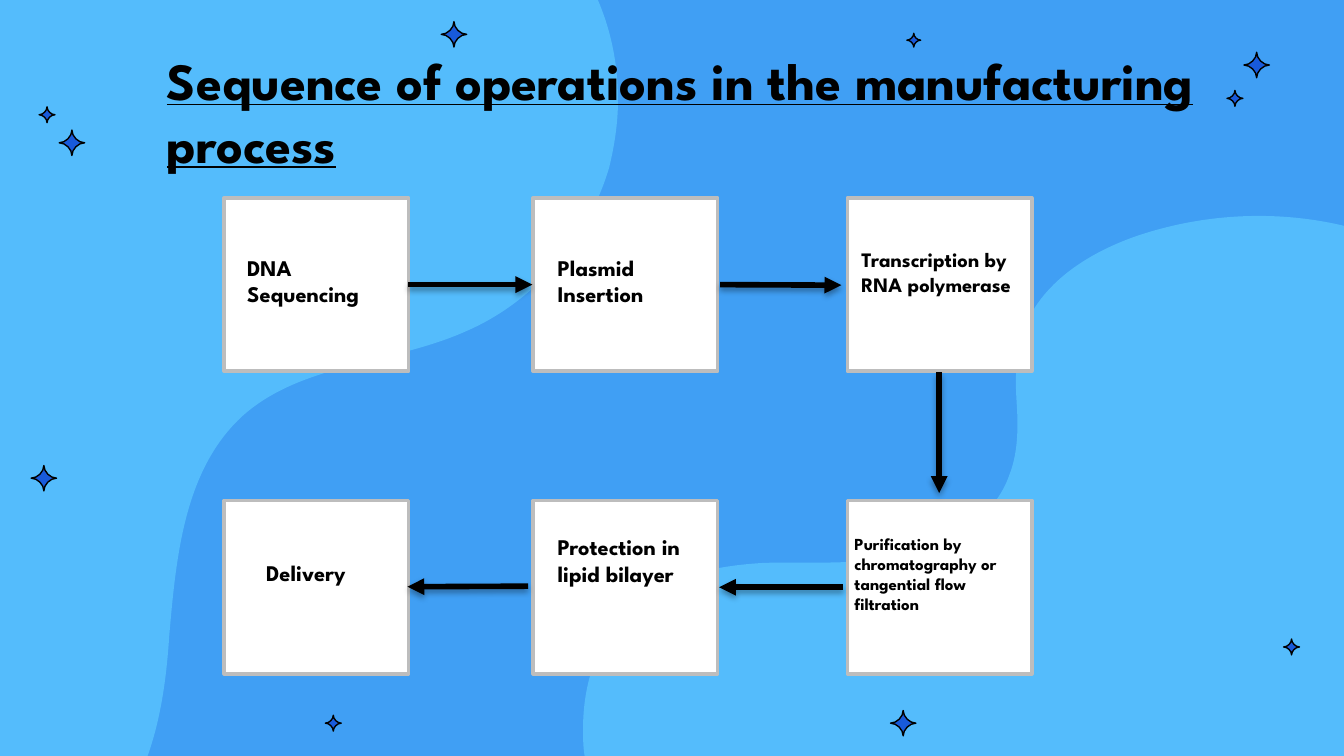
from lxml.etree import SubElement
from pptx import Presentation
from pptx.dml.color import RGBColor
from pptx.enum.shapes import MSO_CONNECTOR, MSO_SHAPE
from pptx.enum.text import MSO_ANCHOR, MSO_AUTO_SIZE, PP_ALIGN
from pptx.oxml import parse_xml
from pptx.oxml.ns import nsdecls, qn
from pptx.util import Cm, Pt

COLORS = {
    "background": "409FF4",
    "wave": "54BCFC",
    "star": "185ADB",
    "box": "FFFFFF",
    "border": "BDBDBD",
    "ink": "000000",
}
COLORS = {name: RGBColor.from_string(value) for name, value in COLORS.items()}
FONT = "League Spartan"

presentation = Presentation()
presentation.slide_width = Cm(25.4)
presentation.slide_height = Cm(14.29)
slide = presentation.slides.add_slide(presentation.slide_layouts[5])
slide.background.fill.solid()
slide.background.fill.fore_color.rgb = COLORS["background"]


def add_curved_shape(curve, corners, color):
    """Start at the first point, take the rest as Bezier triples, then go through the corners."""
    points = [(Cm(x), Cm(y)) for x, y in curve + corners]
    builder = slide.shapes.build_freeform(*points[0])
    builder.add_line_segments(points[1:], close=True)
    shape = builder.convert_to_shape()
    segments = list(shape.element.iter(qn("a:lnTo")))[:len(curve) - 1]
    for index in range(0, len(segments), 3):
        bezier = parse_xml(f"<a:cubicBezTo {nsdecls('a')}/>")
        segments[index].addprevious(bezier)
        for segment in segments[index:index + 3]:
            bezier.append(segment[0])
            segment.getparent().remove(segment)
    shape.shadow.inherit = False
    shape.fill.solid()
    shape.fill.fore_color.rgb = COLORS[color]
    shape.line.fill.background()
    return shape


def format_text(frame, text, size):
    frame.text = text
    frame.word_wrap = True
    frame.vertical_anchor = MSO_ANCHOR.TOP
    paragraph = frame.paragraphs[0]
    paragraph.alignment = PP_ALIGN.LEFT
    paragraph.font.name = FONT
    paragraph.font.size = Pt(size)
    paragraph.font.bold = True
    paragraph.font.color.rgb = COLORS["ink"]
    return paragraph


# Background waves
left_wave = [
    (11.3, 0),
    (11.56, 0.61), (11.68, 1.24), (11.68, 1.9),
    (11.68, 2.34), (11.61, 2.77), (11.51, 3.18),
    (11.1, 4.55), (10.08, 5.72), (8.79, 6.27),
    (7.42, 6.88), (5.72, 6.86), (4.6, 7.85),
    (3.48, 8.86), (3.33, 10.52), (3.2, 12.01),
    (3.15, 12.78), (3.05, 13.56), (2.79, 14.29),
]
right_wave = [
    (11.05, 14.29),
    (11.02, 14.12), (11.02, 13.94), (11.02, 13.77),
    (11.02, 12.9), (11.3, 12.01), (11.99, 11.43),
    (12.65, 10.87), (13.56, 10.69), (14.45, 10.64),
    (15.32, 10.62), (16.21, 10.69), (17.07, 10.49),
    (17.93, 10.31), (18.8, 9.8), (19.08, 8.97),
    (19.2, 8.66), (19.23, 8.33), (19.23, 8),
    (19.23, 7.75), (19.2, 7.49), (19.2, 7.24),
    (19.2, 6.93), (19.23, 6.65), (19.3, 6.38),
    (19.58, 5.41), (20.52, 4.8), (21.46, 4.47),
    (22.71, 4.04), (24.1, 3.96), (25.4, 4.27),
]
add_curved_shape(left_wave, [(0, 14.29), (0, 0)], "wave")
add_curved_shape(right_wave, [(25.4, 14.29)], "wave")

# Stars: centre and radius
stars = [
    (6.3, 13.67, 0.15), (23.34, 1.86, 0.15), (23.75, 1.23, 0.24),
    (1.36, 2.7, 0.24), (0.89, 2.17, 0.15), (0.83, 9.04, 0.24),
    (24.41, 12.23, 0.15), (17.27, 0.76, 0.13), (8.58, 0.65, 0.24),
    (17.07, 13.67, 0.24),
]
directions = [(0, -1), (1, 0), (0, 1), (-1, 0), (0, -1)]
for x, y, radius in stars:
    outline = [(x, y - radius)]
    for start, end in zip(directions, directions[1:]):
        for (dx, dy), reach in ((start, radius / 2), (end, radius / 2), (end, radius)):
            outline.append((x + dx * reach, y + dy * reach))
    star = add_curved_shape(outline, [], "star")
    star.line.color.rgb = COLORS["ink"]
    star.line.width = Pt(0.75)

# Process boxes
for top in (3.74, 9.46):
    for left in (4.24, 10.08, 16.02):
        box = slide.shapes.add_shape(MSO_SHAPE.RECTANGLE, Cm(left), Cm(top), Cm(3.48), Cm(3.28))
        box.shadow.inherit = False
        box.fill.solid()
        box.fill.fore_color.rgb = COLORS["box"]
        box.line.color.rgb = COLORS["border"]
        box.line.width = Pt(2)

# Arrows between the boxes
arrows = [
    (7.72, 5.38, 10.06, 5.38),
    (13.61, 5.38, 15.9, 5.39),
    (17.75, 7.04, 17.75, 9.32),
    (15.93, 11.1, 13.59, 11.1),
    (9.98, 11.08, 7.7, 11.09),
]
for ends in arrows:
    arrow = slide.shapes.add_connector(MSO_CONNECTOR.STRAIGHT, *map(Cm, ends))
    arrow.line.color.rgb = COLORS["ink"]
    arrow.line.width = Pt(3)
    SubElement(arrow.line._get_or_add_ln(), qn("a:tailEnd"), type="triangle")
    arrow.element.spPr.append(parse_xml(
        f'<a:effectLst {nsdecls("a")}>'
        '<a:outerShdw blurRad="40000" dist="23000" dir="5400000" rotWithShape="0">'
        '<a:srgbClr val="000000"><a:alpha val="35000"/></a:srgbClr>'
        '</a:outerShdw></a:effectLst>'))

# Step labels: text, size, left, top, width, height
labels = [
    ("DNA Sequencing", 12, 4.42, 4.67, 3.18, 1.27),
    ("Plasmid Insertion", 12, 10.29, 4.67, 3.07, 1.27),
    ("Transcription by RNA polymerase", 11, 16.03, 4.55, 3.48, 1.68),
    ("Purification by chromatography or tangential flow filtration", 9, 15.9, 9.96, 3.66, 1.8),
    ("Protection in lipid bilayer", 12, 10.29, 9.96, 3.07, 1.27),
    ("Delivery", 12, 4.78, 10.44, 3.15, 0.76),
]
for text, size, *place in labels:
    label = slide.shapes.add_textbox(*map(Cm, place))
    format_text(label.text_frame, text, size)

# Title, brought in front of the waves
title = slide.shapes.title
title.left, title.top, title.width, title.height = Cm(2.9), Cm(0.79), Cm(20.09), Cm(2.64)
heading = format_text(title.text_frame, "Sequence of operations in the manufacturing process", 28)
heading.font.underline = True
title.text_frame.auto_size = MSO_AUTO_SIZE.NONE
slide.shapes.element.append(title.element)

presentation.save("out.pptx")
